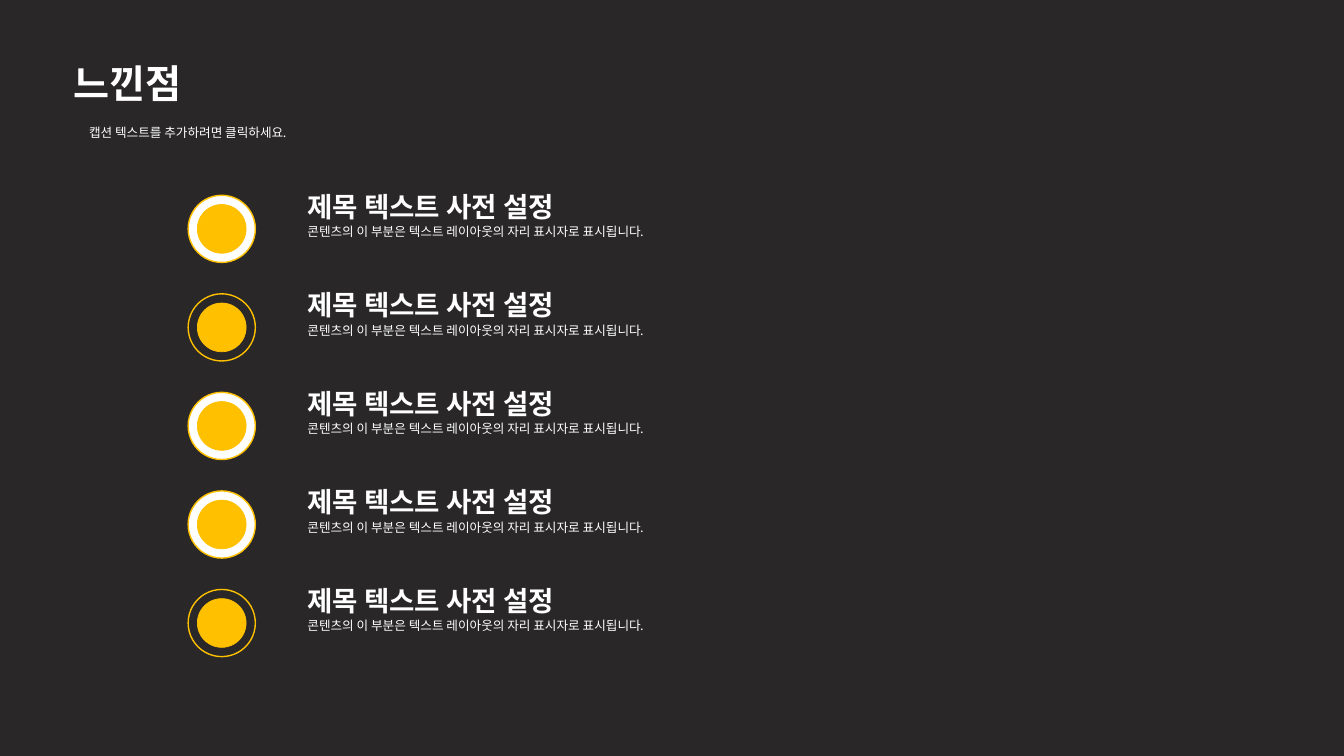
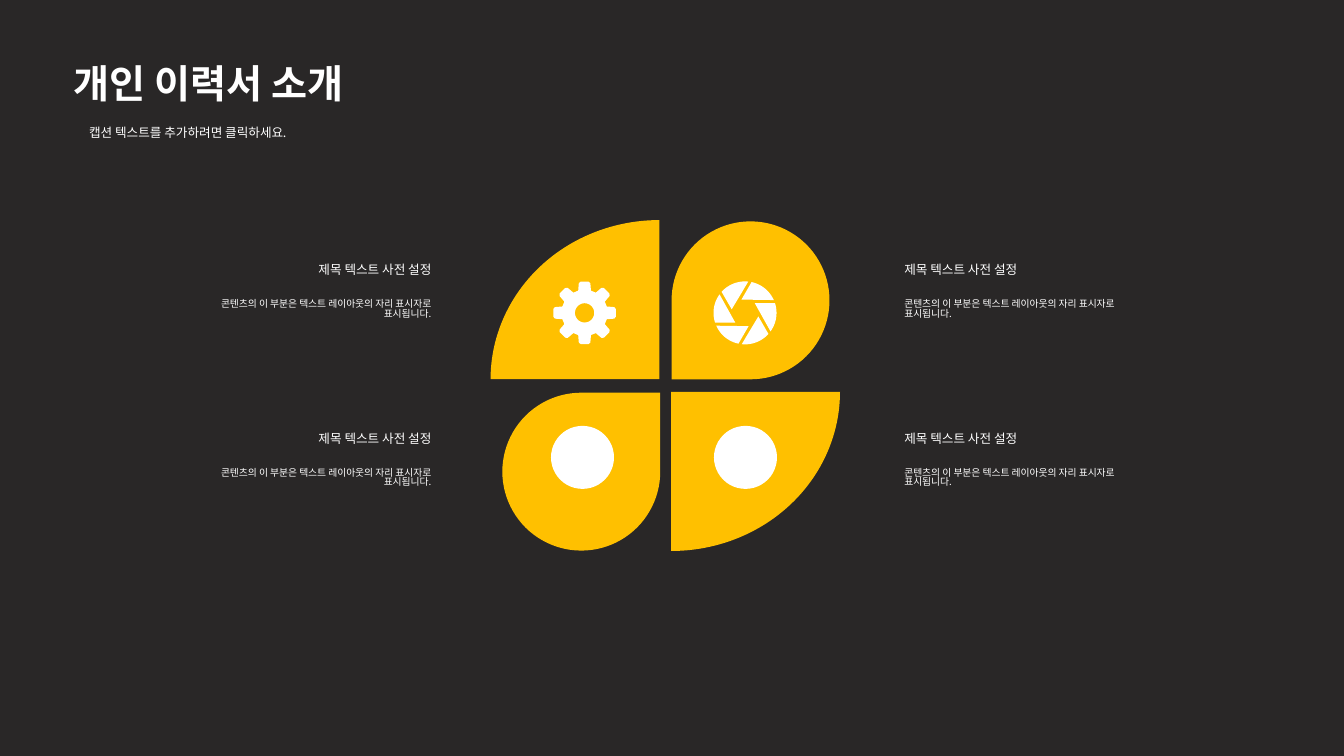
import math
from dataclasses import dataclass

from lxml import etree
from pptx import Presentation, util as u
from pptx.dml.color import RGBColor
from pptx.enum import shapes, text
from pptx.oxml.ns import qn

COLUMNS, ROWS = 160, 90
SHAPE = shapes.MSO_SHAPE
LEFT, RIGHT = text.PP_ALIGN.LEFT, text.PP_ALIGN.RIGHT

CAPTION = "캡션 텍스트를 추가하려면 클릭하세요."
HEADING = "제목 텍스트 사전 설정"
BODY = "콘텐츠의 이 부분은 텍스트 레이아웃의 자리 표시자로 표시됩니다."


@dataclass(frozen=True)
class Theme:
    background: str = "292727"
    accent: str = "FFC000"
    light: str = "FFFFFF"
    font: str = "Noto Sans CJK KR"
    title: float = 28
    heading: float = 19.7
    normal: float = 9
    small: float = 7


def write_text(frame, words, theme, *, size, bold=False, align=LEFT, spacing=0.9):
    para = frame.paragraphs[0]
    para.alignment = align
    para.line_spacing = spacing
    span = para.add_run()
    span.text = words
    span.font.size = u.Pt(size)
    span.font.bold = bold
    span.font.color.rgb = RGBColor.from_string(theme.light)
    span.font.name = theme.font
    east_asian = etree.SubElement(span.font._element, qn("a:ea"))
    east_asian.set("typeface", theme.font)


def polar(center, radius, degrees):
    """Point at an angle counted anticlockwise from the right."""
    angle = math.radians(degrees)
    return center[0] + radius * math.cos(angle), center[1] - radius * math.sin(angle)


def arc(center, radius, start, end, steps=12):
    return [polar(center, radius, start + (end - start) * i / steps)
            for i in range(steps + 1)]


class Deck:
    """Theme, presentation and current page; lengths are grid units."""

    def __init__(self, theme):
        self.theme = theme
        self.deck = Presentation()
        self.deck.slide_width = u.Inches(40 / 3)
        self.deck.slide_height = u.Inches(7.5)
        self.column = self.deck.slide_width / COLUMNS
        self.row = self.deck.slide_height / ROWS
        self.page = None

    def place(self, left, top, width, height):
        return (round(left * self.column), round(top * self.row),
                round(width * self.column), round(height * self.row))

    def new_page(self, title):
        self.page = self.deck.slides.add_slide(self.deck.slide_layouts[6])
        fill = self.page.background.fill
        fill.solid()
        fill.fore_color.rgb = RGBColor.from_string(self.theme.background)
        self.text(title, 8.8, 7.7, 36.8, 5.6, size=self.theme.title, bold=True)
        self.text(CAPTION, 10.6, 15.1, 28.8, 1.8, size=self.theme.normal)

    def text(self, words, left, top, width, height, *, insets=(0, 0, 0, 0),
             wrap=True, **style):
        box = self.page.shapes.add_textbox(*self.place(left, top, width, height))
        frame = box.text_frame
        frame.word_wrap = wrap
        (frame.margin_left, frame.margin_top,
         frame.margin_right, frame.margin_bottom) = self.place(*insets)
        write_text(frame, words, self.theme, **style)

    def paint(self, shape, fill, line=None, line_width=1):
        shape.shadow.inherit = False
        if fill:
            shape.fill.solid()
            shape.fill.fore_color.rgb = RGBColor.from_string(fill)
        else:
            shape.fill.background()
        if line:
            shape.line.color.rgb = RGBColor.from_string(line)
            shape.line.width = u.Pt(line_width)
        else:
            shape.line.fill.background()

    def shape(self, kind, left, top, width, height, fill, **line):
        shape = self.page.shapes.add_shape(kind, *self.place(left, top, width, height))
        self.paint(shape, fill, **line)
        return shape

    def quarter(self, left, top, start):
        """Quarter of an ellipse, clockwise from the start angle."""
        pie = self.shape(SHAPE.PIE, left, top, 40.2, 37.9, self.theme.accent)
        for i, degrees in enumerate((start, start + 90)):
            pie.adjustments[i] = degrees * 0.6

    def teardrop(self, left, top, rotation):
        drop = self.shape(SHAPE.TEAR, left, top, 18.8, 18.8, self.theme.accent)
        drop.rotation = rotation

    def outline(self, contours):
        scaled = [[(round(x * self.column), round(y * self.row)) for x, y in contour]
                  for contour in contours]
        builder = self.page.shapes.build_freeform(*scaled[0][0])
        for i, contour in enumerate(scaled):
            if i:
                builder.move_to(*contour[0])
            builder.add_line_segments(contour[1:], close=True)
        self.paint(builder.convert_to_shape(), self.theme.light)

    def gear(self, center):
        tooth = ((-16, 2.75), (-11, 3.6), (-7, 3.75), (7, 3.75), (11, 3.6), (16, 2.75))
        rim = [polar(center, radius, turn + offset)
               for turn in range(0, 360, 45) for offset, radius in tooth]
        self.outline([rim, arc(center, 1.15, 360, 0, 36)])

    def aperture(self, center):
        self.outline([arc(center, 3.75, turn + 24, turn + 78)
                      + [polar(center, 1.64, turn + 105)]
                      for turn in range(0, 360, 60)])

    def bullet_row(self, top, ring_fill):
        theme = self.theme
        self.shape(SHAPE.OVAL, 22.4, top, 8, 8, ring_fill, line=theme.accent)
        self.shape(SHAPE.OVAL, 23.5, top + 1.1, 5.8, 5.8, theme.accent,
                   line=theme.accent, line_width=0.5)
        insets = (6.2, 0, 5, 0)
        self.text(HEADING, 30.4, top - 0.2, 55.4, 3.8, insets=insets, wrap=False,
                  size=theme.heading, bold=True)
        self.text(BODY, 30.4, top + 3.64, 55.4, 4.6, insets=insets, size=theme.normal)

    def label(self, edge, top, align):
        """Heading and body set against a vertical edge."""
        blocks = ((HEADING, 16.6, 0, 4.1, self.theme.normal, False),
                  (BODY, 32.5, 4.1, 7.3, self.theme.small, True))
        for words, width, offset, height, size, wrap in blocks:
            left = edge - width if align == RIGHT else edge
            self.text(words, left, top + offset, width, height, wrap=wrap, size=size,
                      insets=(1.56, 0.84, 1.56, 0.84), align=align, spacing=0.8)


def add_impressions(deck):
    deck.new_page("느낀점")
    light = deck.theme.light
    for i, ring_fill in enumerate((light, None, light, light, None)):
        deck.bullet_row(23.25 + i * 11.73, ring_fill)


def add_resume(deck):
    deck.new_page("개인 이력서 소개")
    deck.quarter(58.4, 26.2, 180)
    deck.teardrop(79.95, 26.35, 180)
    deck.quarter(59.8, 27.7, 0)
    deck.teardrop(59.8, 46.75, 0)
    for top in (30.8, 50.9):
        deck.label(106.1, top, LEFT)
        deck.label(52.9, top, RIGHT)
    deck.gear((69.6, 37.25))
    deck.aperture((88.7, 37.25))
    for left in (65.6, 85):
        deck.shape(SHAPE.OVAL, left, 50.7, 7.5, 7.5, deck.theme.light)


def main():
    deck = Deck(Theme())
    add_impressions(deck)
    add_resume(deck)
    deck.deck.save("out.pptx")


if __name__ == "__main__":
    main()
